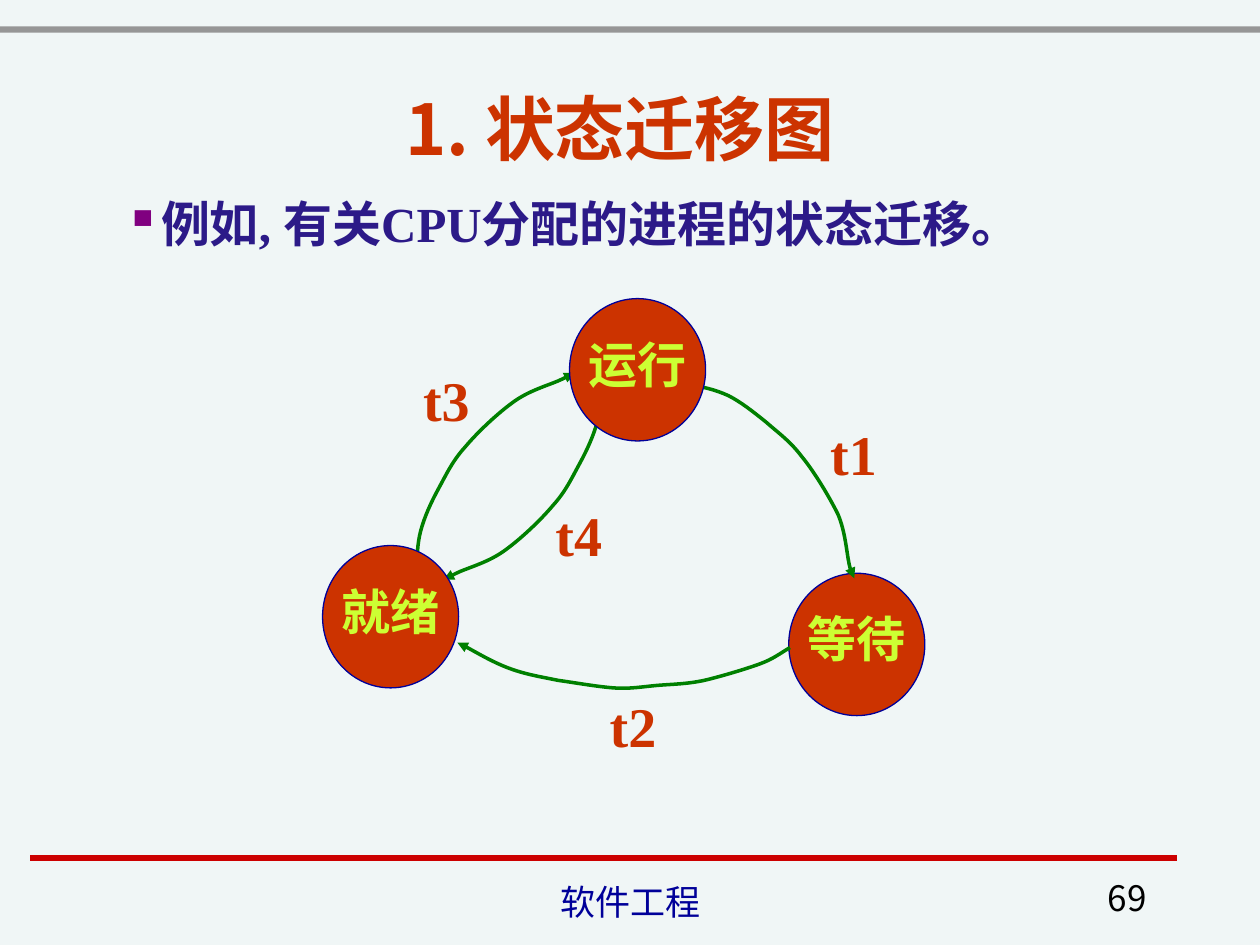
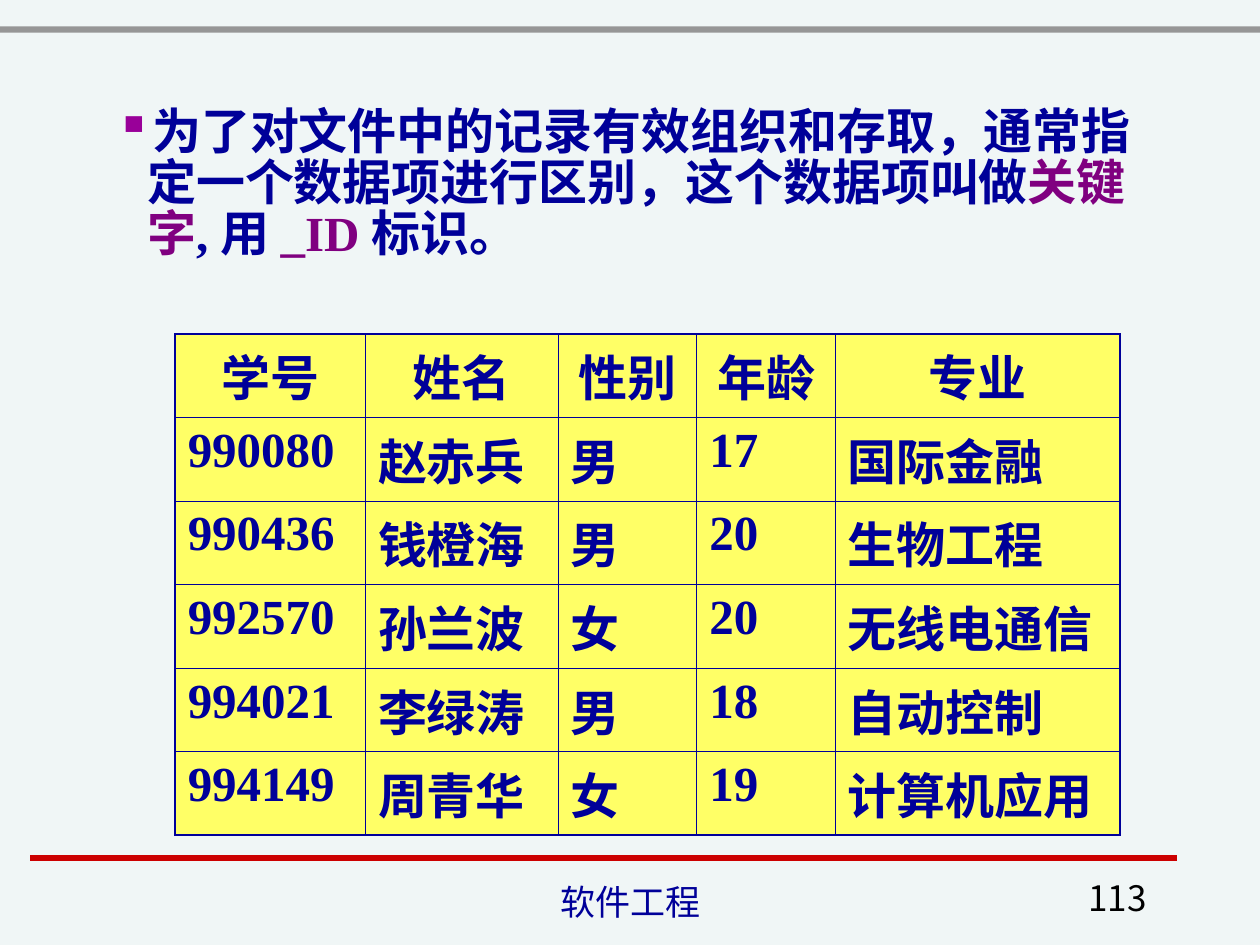
import pptx
import pptx.dml.color
import pptx.enum.shapes
import pptx.enum.text
import pptx.oxml
import pptx.oxml.ns
import pptx.util

qn = pptx.oxml.ns.qn
ALIGN = pptx.enum.text.PP_ALIGN
ANCHOR = pptx.enum.text.MSO_ANCHOR
SHAPE = pptx.enum.shapes.MSO_SHAPE

PAPER, GREY, RED = "F0F6F6", "969696", "CC0000"
NAVY, INDIGO, PURPLE, VIOLET = "000099", "2C1A88", "800080", "990099"
BRICK, LIME, GREEN, YELLOW = "CC3300", "CCFF33", "008000", "FFFF66"
SERIF, CJK, CJK_TITLE, NARROW = (
    "Times New Roman", "Noto Sans CJK SC", "Noto Sans CJK JP", "Arial Narrow")


def rgb(color):
    return pptx.dml.color.RGBColor.from_string(color)


def sub(parent, tag, **attrs):
    el = parent.makeelement(qn(tag), attrs)
    parent.append(el)
    return el


def write(tf, text, size=28, font=SERIF, color=NAVY, bold=True,
          align=ALIGN.LEFT, spacing=None, bullet=None):
    p = tf.paragraphs[0]
    p.alignment = align
    if spacing:
        p.line_spacing = spacing
    if bullet:
        pPr = p._p.get_or_add_pPr()
        indent = pptx.util.Inches(0.25)
        pPr.set("marL", str(indent))
        pPr.set("indent", str(-indent))
        sub(sub(pPr, "a:buClr"), "a:srgbClr", val=bullet)
        sub(pPr, "a:buChar", char="▪")
    runs = [(text, color)] if isinstance(text, str) else text
    for words, shade in runs:
        r = p.add_run()
        r.text = words
        r.font.size = pptx.util.Pt(size)
        r.font.name = font
        r.font.bold = bold
        r.font.color.rgb = rgb(shade)
        sub(r._r.get_or_add_rPr(), "a:ea",
            typeface=CJK_TITLE if font == CJK_TITLE else CJK)


class Deck:
    COLS, ROWS = 100, 75

    def __init__(self):
        self.prs = pptx.Presentation()
        self.prs.slide_width = pptx.util.Inches(10)
        self.prs.slide_height = pptx.util.Inches(7.5)
        self.s = None

    def x(self, cols):
        return round(self.prs.slide_width * cols / self.COLS)

    def y(self, rows):
        return round(self.prs.slide_height * rows / self.ROWS)

    def box(self, left, top, width, height):
        return self.x(left), self.y(top), self.x(width), self.y(height)

    def slide(self, number):
        self.s = self.prs.slides.add_slide(self.prs.slide_layouts[6])
        self.s.background.fill.solid()
        self.s.background.fill.fore_color.rgb = rgb(PAPER)
        self.shape(SHAPE.RECTANGLE, (0, 2.1, 100, 0.5), GREY)
        self.rule((2.4, 68.1), (93.4, 68.1), RED, 3)
        self.text("软件工程", (34.2, 69.8, 31.7, 3.9), anchor=ANCHOR.BOTTOM,
                  size=20, font=NARROW, bold=False, align=ALIGN.CENTER)
        self.text(str(number), (71.2, 69.6, 20.8, 3.8), anchor=ANCHOR.BOTTOM,
                  size=20, font=CJK, color="000000", bold=False,
                  align=ALIGN.RIGHT)

    def shape(self, kind, at, fill, line=None):
        sp = self.s.shapes.add_shape(kind, *self.box(*at))
        sp.shadow.inherit = False
        sp.fill.solid()
        sp.fill.fore_color.rgb = rgb(fill)
        if line:
            sp.line.color.rgb = rgb(line)
            sp.line.width = pptx.util.Pt(0.75)
        else:
            sp.line.fill.background()
        return sp

    def rule(self, start, end, color, width):
        cx = self.s.shapes.add_connector(
            pptx.enum.shapes.MSO_CONNECTOR.STRAIGHT,
            self.x(start[0]), self.y(start[1]), self.x(end[0]), self.y(end[1]))
        cx.line.color.rgb = rgb(color)
        cx.line.width = pptx.util.Pt(width)
        sub(cx._element.spPr, "a:effectLst")

    def text(self, text, at, anchor=ANCHOR.TOP, wrap=True, **fmt):
        tf = self.s.shapes.add_textbox(*self.box(*at)).text_frame
        tf.word_wrap = wrap
        tf.vertical_anchor = anchor
        write(tf, text, **fmt)

    def state(self, name, left, top):
        sp = self.shape(SHAPE.OVAL, (left, top, 10.8, 11.3), BRICK, NAVY)
        tf = sp.text_frame
        tf.word_wrap = False
        tf.vertical_anchor = ANCHOR.MIDDLE
        tf.margin_left = tf.margin_right = tf.margin_top = 0
        tf.margin_bottom = pptx.util.Inches(0.1)
        write(tf, name, color=LIME, align=ALIGN.CENTER)

    def arc(self, points):
        start, *rest = [(self.x(x), self.y(y)) for x, y in points]
        builder = self.s.shapes.build_freeform(*start)
        builder.add_line_segments(rest, close=False)
        sp = builder.convert_to_shape()
        segments = list(sp._element.iter(qn("a:lnTo")))
        for i in range(0, len(segments), 3):
            curve = segments[i].makeelement(qn("a:cubicBezTo"), {})
            segments[i].addprevious(curve)
            for segment in segments[i:i + 3]:
                curve.append(segment[0])
                segment.getparent().remove(segment)
        sp.shadow.inherit = False
        sp.fill.background()
        sp.line.color.rgb = rgb(GREEN)
        sp.line.width = pptx.util.Pt(2)
        sub(sp.line._get_or_add_ln(), "a:tailEnd", type="triangle")

    def table(self, rows, left, top, widths, height):
        at = self.box(left, top, sum(widths), height * len(rows))
        tbl = self.s.shapes.add_table(len(rows), len(widths), *at).table
        for col, width in zip(tbl.columns, widths):
            col.width = self.x(width)
        last_row, last_col = len(rows) - 1, len(widths) - 1
        for i, row in enumerate(rows):
            tbl.rows[i].height = self.y(height)
            for j, value in enumerate(row):
                cell = tbl.cell(i, j)
                write(cell.text_frame, value,
                      align=ALIGN.LEFT if i else ALIGN.CENTER)
                outer = {"a:lnL": j == 0, "a:lnR": j == last_col,
                         "a:lnT": i == 0, "a:lnB": i == last_row}
                for side, is_outer in outer.items():
                    width = pptx.util.Pt(1.08 if is_outer else 0.45)
                    ln = sub(cell._tc.get_or_add_tcPr(), side, w=str(width))
                    sub(sub(ln, "a:solidFill"), "a:srgbClr", val=NAVY)
                cell.fill.solid()
                cell.fill.fore_color.rgb = rgb(YELLOW)


def state_diagram(d):
    d.slide(69)
    d.text("1. 状态迁移图", (6.7, 6.6, 85, 7.1), anchor=ANCHOR.MIDDLE, size=40,
           font=CJK_TITLE, color=BRICK, align=ALIGN.CENTER)
    d.text("例如, 有关CPU分配的进程的状态迁移。", (8.9, 15.4, 85, 6.9),
           color=INDIGO, bullet=PURPLE, spacing=0.9)
    d.state("等待", 62.6, 45.5)
    d.arc([(54.6, 30.5), (55.7, 30.7), (56.7, 30.9), (57.8, 31.4),
           (58.8, 31.9), (59.8, 32.7), (60.8, 33.5), (61.7, 34.3),
           (62.7, 35), (63.6, 36.2), (64.6, 37.4), (65.8, 39.4),
           (66.5, 40.8), (67.1, 42.2), (67.2, 43.9), (67.4, 44.8),
           (67.6, 45.6), (67.7, 45.7), (67.8, 45.9)])
    rise = [(33.1, 45.4), (33.1, 44.3), (33.1, 43.2), (33.4, 42.1),
            (33.7, 41), (34.2, 39.9), (34.8, 38.8), (35.4, 37.7),
            (35.9, 36.6), (36.9, 35.5), (37.9, 34.3), (39.6, 32.7),
            (40.9, 31.8), (42.2, 30.9), (43.8, 30.5), (44.6, 30.1),
            (45.4, 29.7), (45.5, 29.6), (45.6, 29.6)]
    d.arc(rise)
    d.arc([(80.8 - x, 75.6 - y) for x, y in rise])
    d.state("就绪", 25.6, 43.3)
    d.state("运行", 45.2, 23.7)
    d.arc([(62.7, 51.4), (62, 51.8), (61.4, 52.3), (60.3, 52.7),
           (59.2, 53.1), (57.2, 53.7), (55.9, 54), (54.5, 54.3),
           (53.4, 54.3), (52.2, 54.4), (51, 54.5), (50, 54.7),
           (48.7, 54.6), (47.4, 54.5), (45.7, 54.2), (44.3, 54),
           (42.8, 53.7), (41.6, 53.5), (40.3, 53), (39, 52.5),
           (37, 51.3), (36.3, 51)])
    for name, left, top in [("t2", 47.4, 54.4), ("t3", 32.6, 28.5),
                            ("t4", 43.1, 39.2), ("t1", 64.9, 32.8)]:
        d.text(name, (left, top, 5.7, 6.4), wrap=False, size=32, color=BRICK)


def key_field(d):
    d.slide(113)
    d.text([("为了对文件中的记录有效组织和存取，通常指定一个数据项进行区别，"
             "这个数据项叫做", NAVY), ("关键字", PURPLE), (", 用 ", NAVY),
            ("_ID ", PURPLE), ("标识。", NAVY)],
           (8.2, 8.1, 83.3, 18), bullet=VIOLET, spacing=0.87)
    d.table([("学号", "姓名", "性别", "年龄", "专业"),
             ("990080", "赵赤兵", "男", "17", "国际金融"),
             ("990436", "钱橙海", "男", "20", "生物工程"),
             ("992570", "孙兰波", "女", "20", "无线电通信"),
             ("994021", "李绿涛", "男", "18", "自动控制"),
             ("994149", "周青华", "女", "19", "计算机应用")],
            13.9, 26.5, (15.1, 15.3, 11, 11, 22.6), 6.63)


def main():
    d = Deck()
    state_diagram(d)
    key_field(d)
    d.prs.save("out.pptx")


if __name__ == "__main__":
    main()
